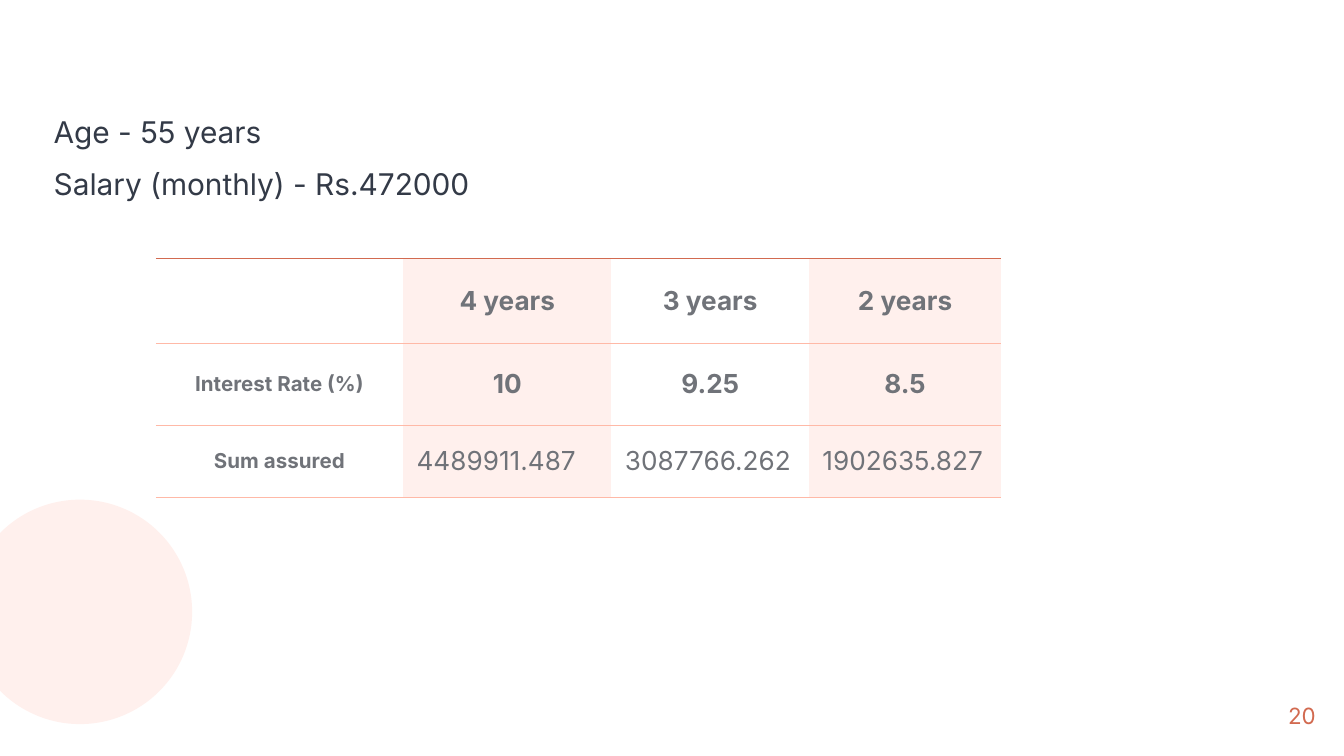
from pptx import Presentation
from pptx.dml.color import RGBColor
from pptx.enum.shapes import MSO_SHAPE
from pptx.enum.text import MSO_ANCHOR, PP_ALIGN
from pptx.oxml import parse_xml
from pptx.oxml.ns import nsdecls
from pptx.util import Inches, Pt

OVAL = MSO_SHAPE.OVAL
MIDDLE, TOP = MSO_ANCHOR.MIDDLE, MSO_ANCHOR.TOP
LEFT, CENTER, RIGHT = PP_ALIGN.LEFT, PP_ALIGN.CENTER, PP_ALIGN.RIGHT

BLUSH, CORAL, RUST = "FFF0ED", "FFB9A7", "D26A50"
WHITE, INK, GREY = "FFFFFF", "333A47", "707379"


def rgb(value):
    return RGBColor.from_string(value)


class SlideBuilder:
    font = "Inter"
    width, height = 10, 10 * 9 / 16

    def __init__(self, deck):
        deck.slide_width, deck.slide_height = Inches(self.width), Inches(self.height)
        self.slide = deck.slides.add_slide(deck.slide_layouts[6])
        self.slide.background.fill.solid()
        self.slide.background.fill.fore_color.rgb = rgb(WHITE)

    def box(self, x, y, w, h):
        return (Inches(x * self.width), Inches(y * self.height),
                Inches(w * self.width), Inches(h * self.height))

    def style(self, paragraph, size, color, align, bold=False):
        paragraph.alignment = align
        font = paragraph.font
        font.name, font.size, font.bold = self.font, Pt(size), bold
        font.color.rgb = rgb(color)

    def circle(self, x, y, diameter, color):
        area = self.box(x, y, diameter, diameter * self.width / self.height)
        disc = self.slide.shapes.add_shape(OVAL, *area)
        disc.shadow.inherit = False
        disc.fill.solid()
        disc.fill.fore_color.rgb = rgb(color)
        disc.line.fill.background()

    def text(self, area, lines, size, color, align=LEFT, anchor=TOP, spacing=1.0, gap=0):
        frame = self.slide.shapes.add_textbox(*self.box(*area)).text_frame
        frame.word_wrap = True
        frame.vertical_anchor = anchor
        frame.margin_left = frame.margin_right = frame.margin_top = frame.margin_bottom = 0
        frame.text = "\n".join(lines)
        for index, paragraph in enumerate(frame.paragraphs):
            self.style(paragraph, size, color, align)
            paragraph.line_spacing = spacing
            paragraph.space_before = Pt(gap if index else 0)

    def borders(self, cell, top, bottom):
        sides = {"lnL": None, "lnR": None, "lnT": top, "lnB": bottom}
        properties = cell._tc.get_or_add_tcPr()
        for position, (side, color) in enumerate(sides.items()):
            paint = (f'<a:solidFill><a:srgbClr val="{color}"/></a:solidFill>'
                     if color else "<a:noFill/>")
            line = parse_xml(f'<a:{side} {nsdecls("a")} w="{Pt(0.75)}">{paint}</a:{side}>')
            properties.insert(position, line)

    def table(self, x, y, columns, rows, values):
        area = self.box(x, y, sum(columns) / self.width, sum(rows) / self.height)
        grid = self.slide.shapes.add_table(len(rows), len(columns), *area).table
        grid.first_row = grid.horz_banding = False
        for column, width in zip(grid.columns, columns):
            column.width = Inches(width)
        for row, height in zip(grid.rows, rows):
            row.height = Inches(height)
        for r, record in enumerate(values):
            for c, value in enumerate(record):
                self.cell(grid.cell(r, c), value, r, c, r == len(rows) - 1)

    def cell(self, cell, value, r, c, last):
        cell.text = value
        cell.vertical_anchor = MIDDLE
        cell.margin_left = cell.margin_right = Inches(0.1)
        cell.margin_top = cell.margin_bottom = Inches(0.07)
        if c:
            cell.fill.solid()
            cell.fill.fore_color.rgb = rgb(BLUSH if c % 2 else WHITE)
        else:
            cell.fill.background()
        amount = last and c > 0
        size = 14 if c or not r else 11
        self.style(cell.text_frame.paragraphs[0], size, GREY,
                   LEFT if amount else CENTER, not amount)
        self.borders(cell, CORAL if r else RUST, CORAL)


def main():
    deck = Presentation()
    page = SlideBuilder(deck)
    page.circle(-0.024, 0.661, 0.167, BLUSH)
    page.text((0.919, 0.909, 0.06, 0.076), ["20"], 12, RUST, RIGHT, MIDDLE)
    page.text((0.04, 0.143, 0.856, 0.13),
              ["Age - 55 years", "Salary (monthly) - Rs.472000"],
              16, INK, spacing=1.15, gap=6)
    page.table(0.116, 0.342, [1.84, 1.55, 1.47, 1.43], [0.63, 0.61, 0.54], [
        ["", "4 years", "3 years", "2 years"],
        ["Interest Rate (%)", "10", "9.25", "8.5"],
        ["Sum assured", "4489911.487", "3087766.262", "1902635.827"],
    ])
    deck.save("out.pptx")


if __name__ == "__main__":
    main()
